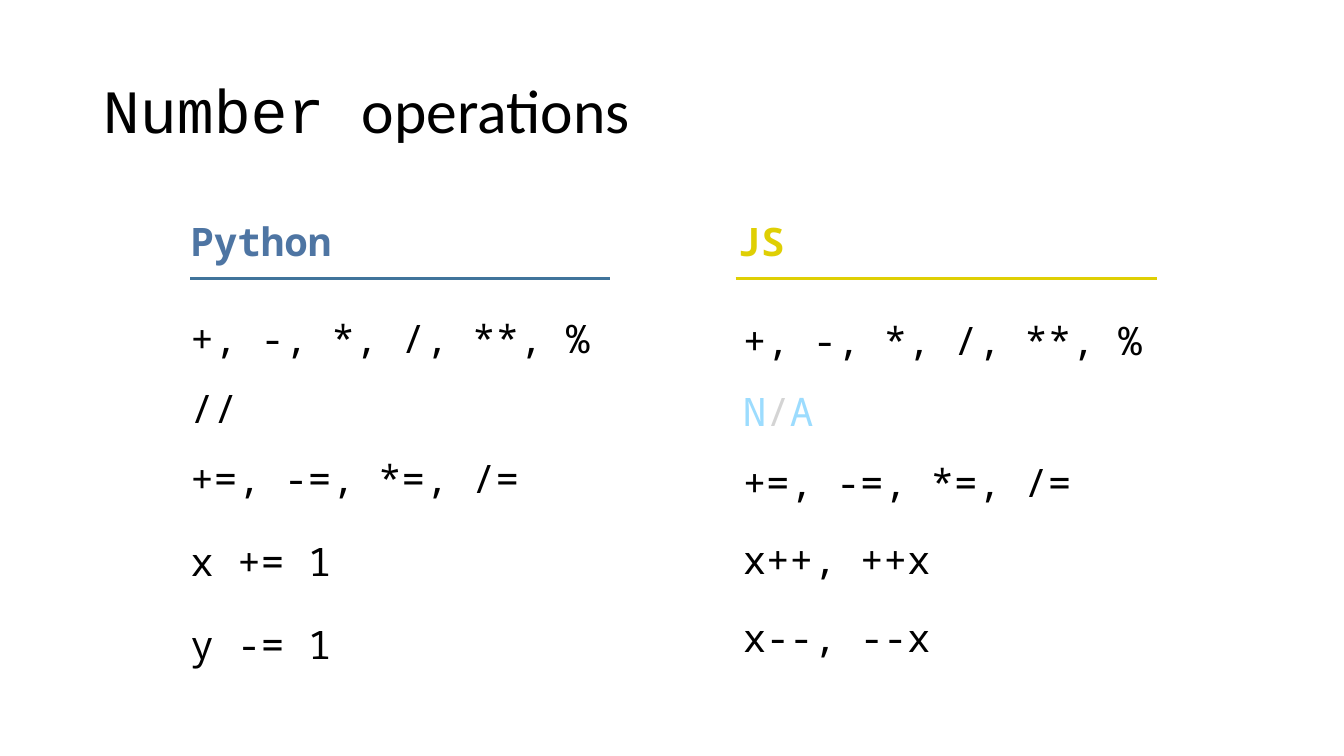
from dataclasses import dataclass

from lxml import etree
from pptx import Presentation
from pptx.dml.color import RGBColor
from pptx.enum.shapes import MSO_CONNECTOR
from pptx.enum.text import MSO_ANCHOR, MSO_AUTO_SIZE, PP_ALIGN
from pptx.oxml.ns import qn
from pptx.slide import Slide
from pptx.util import Cm, Pt

BLACK = RGBColor(0x00, 0x00, 0x00)
PYTHON_BLUE = RGBColor(0x4E, 0x75, 0xA3)
RULE_BLUE = RGBColor(0x40, 0x74, 0x9B)
JS_YELLOW = RGBColor(0xDF, 0xCF, 0x04)
PALE_BLUE = RGBColor(0x9C, 0xDC, 0xFE)
PALE_GREY = RGBColor(0xD4, 0xD4, 0xD4)


@dataclass
class Deck:
    slide: Slide
    code_font: str = "Noto Sans Mono"
    code_size: int = 28
    title_size: int = 44

    def run(self, paragraph, text, font, size, color, bold=False):
        run = paragraph.add_run()
        run.text = text
        run.font.name = font
        run.font.size = Pt(size)
        run.font.bold = bold
        run.font.color.rgb = color

    def title(self, left, top, width, height, words):
        title = self.slide.shapes.title
        title.left, title.top = Cm(left), Cm(top)
        title.width, title.height = Cm(width), Cm(height)
        title.text_frame.vertical_anchor = MSO_ANCHOR.MIDDLE
        paragraph = title.text_frame.paragraphs[0]
        paragraph.alignment = PP_ALIGN.LEFT
        paragraph.line_spacing = 0.9
        for text, font in words:
            self.run(paragraph, text, font, self.title_size, BLACK)

    def code(self, left, top, width, parts, bold=False, spaced=True):
        height = 1.65 if spaced else 1.45
        box = self.slide.shapes.add_textbox(Cm(left), Cm(top), Cm(width), Cm(height))
        frame = box.text_frame
        frame.word_wrap = True
        paragraph = frame.paragraphs[0]
        if spaced:
            paragraph.line_spacing = 0.9
            paragraph.space_before = Pt(10)
        else:
            frame.auto_size = MSO_AUTO_SIZE.SHAPE_TO_FIT_TEXT
        for text, color in parts:
            self.run(paragraph, text, self.code_font, self.code_size, color, bold)

    def rule(self, start, end, y, color):
        line = self.slide.shapes.add_connector(
            MSO_CONNECTOR.STRAIGHT, Cm(start), Cm(y), Cm(end), Cm(y))
        line.line.color.rgb = color
        line.line.width = Pt(2.25)
        etree.SubElement(line._element.spPr, qn("a:effectLst"))

    def column(self, heading, color, heading_left, rule, rule_color, left, rows):
        self.code(heading_left, 5.36, 4.62, [(heading, color)], bold=True, spaced=False)
        self.rule(*rule, 7.01, rule_color)
        for index, (top, width, parts) in enumerate(rows):
            self.code(left, top, width, parts, spaced=index != FLOOR_DIVISION_ROW)


FLOOR_DIVISION_ROW = 1
ARITHMETIC = [("+, -, *, /, **, %", BLACK)]
ASSIGNMENT = [("+=, -=, *=, /=", BLACK)]
NOT_AVAILABLE = [("N", PALE_BLUE), ("/", PALE_GREY), ("A", PALE_BLUE)]

PYTHON_ROWS = [
    (7.92, 10.8, ARITHMETIC),
    (9.55, 9.83, [("//", BLACK)]),
    (11.46, 9.83, ASSIGNMENT),
    (13.56, 13.16, [("x += 1", BLACK)]),
    (15.65, 13.16, [("y -= 1", BLACK)]),
]
JS_ROWS = [
    (7.98, 13.89, ARITHMETIC),
    (9.63, 15.39, NOT_AVAILABLE),
    (11.56, 13.89, ASSIGNMENT),
    (13.51, 8.18, [("x++, ++x", BLACK)]),
    (15.47, 8.18, [("x--, --x", BLACK)]),
]

presentation = Presentation()
presentation.slide_width, presentation.slide_height = Cm(33.87), Cm(19.05)
title_only = presentation.slide_layouts.get_by_name("Title Only")
deck = Deck(presentation.slides.add_slide(title_only))
deck.title(2.34, 1.02, 29.21, 3.68, [("Number ", "Courier New"), ("operations", "Calibri")])
deck.column("Python", PYTHON_BLUE, 4.55, (4.8, 15.37), RULE_BLUE, 4.55, PYTHON_ROWS)
deck.column("JS", JS_YELLOW, 18.34, (18.54, 29.16), JS_YELLOW, 18.47, JS_ROWS)
presentation.save("out.pptx")
